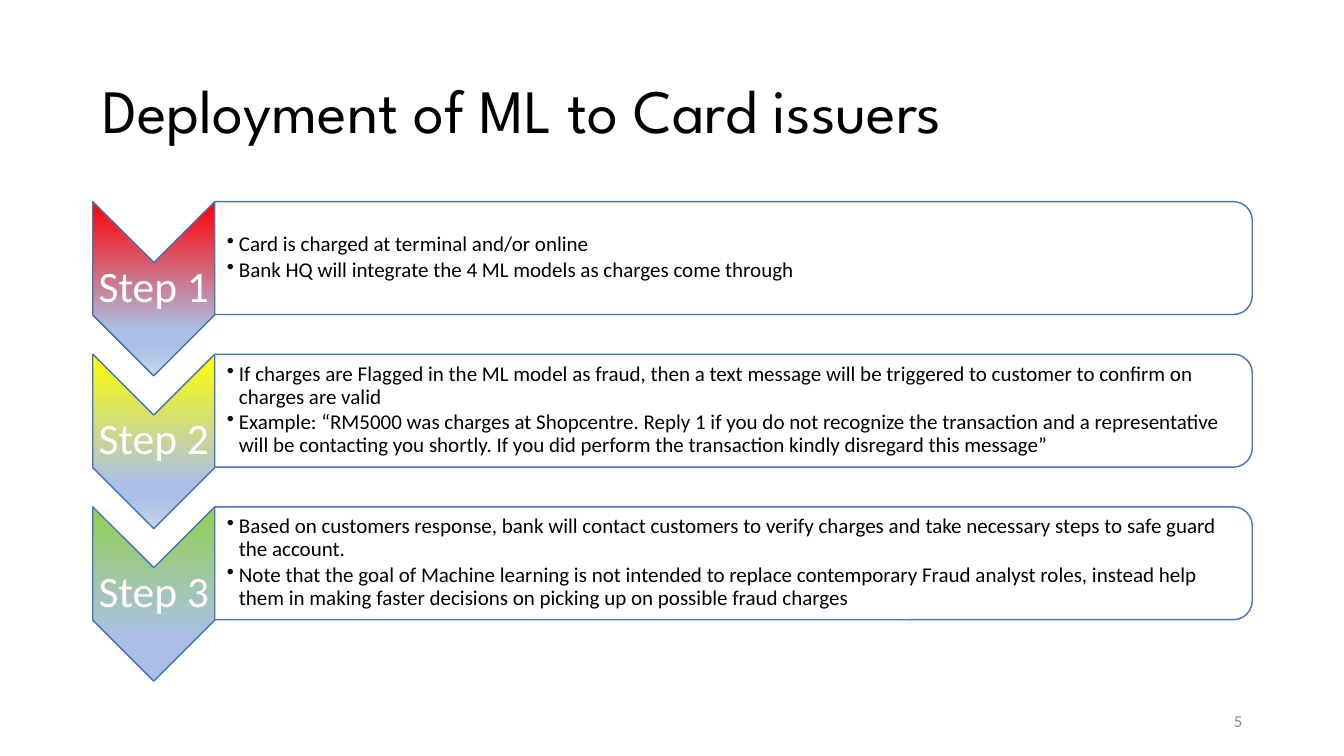
"""Builds the slide on deploying ML to card issuers: three chevron steps with bullets."""
from dataclasses import dataclass

from lxml import etree
from pptx import Presentation
from pptx import util as u
from pptx.dml.color import RGBColor
from pptx.enum import shapes, text
from pptx.oxml import parse_xml
from pptx.oxml.ns import nsdecls, qn


@dataclass(frozen=True)
class Theme:
    title_font: str = "League Spartan"
    body_font: str = "Calibri"
    black: str = "000000"
    white: str = "FFFFFF"
    grey: str = "8C8C8C"
    line: str = "4472C4"
    mid: str = "ABC0E4"
    pale: str = "C7D5ED"
    title_size: int = 44
    step_size: int = 31
    body_size: int = 15
    number_size: int = 12


THEME = Theme()


def add_rotated(kind, left, top, width, height):
    """Add a shape turned a quarter clockwise that fills the given box."""
    x, y = left + (width - height) / 2, top + (height - width) / 2
    sp = s.shapes.add_shape(kind, u.Inches(x), u.Inches(y), u.Inches(height), u.Inches(width))
    sp.rotation = 90
    sp.shadow.inherit = False
    sp.line.color.rgb = RGBColor.from_string(THEME.line)
    sp.line.width = u.Pt(1)
    return sp


def write(sp, lines, font, size, color, align, insets=(0.1, 0.05, 0.1, 0.05), spacing=0.9):
    """Fill a text frame with one paragraph per line and format it."""
    tf = sp.text_frame
    tf.text = "\n".join(lines)
    tf.word_wrap = True
    tf.auto_size = text.MSO_AUTO_SIZE.NONE
    tf.vertical_anchor = text.MSO_ANCHOR.MIDDLE
    tf.margin_left, tf.margin_top, tf.margin_right, tf.margin_bottom = map(u.Inches, insets)
    for p in tf.paragraphs:
        p.alignment = align
        p.line_spacing = spacing
        for r in p.runs:
            r.font.name = font
            r.font.size = u.Pt(size)
            r.font.color.rgb = RGBColor.from_string(color)
    return tf


prs = Presentation()
prs.slide_width, prs.slide_height = u.Inches(13.33), u.Inches(7.5)
s = prs.slides.add_slide(prs.slide_layouts[5])

title = s.shapes.title
title.left, title.top, title.width, title.height = map(u.Inches, (0.92, 0.4, 11.5, 1.45))
write(title, ["Deployment of ML to Card issuers"], THEME.title_font, THEME.title_size,
      THEME.black, text.PP_ALIGN.LEFT)

STEPS = [
    ("FF0000", 83, [
        "Card is charged at terminal and/or online",
        "Bank HQ will integrate the 4 ML models as charges come through"]),
    ("FFFF00", 83, [
        "If charges are Flagged in the ML model as fraud, then a text message will be "
        "triggered to customer to confirm on charges are valid",
        "Example: “RM5000 was charges at Shopcentre. Reply 1 if you do not recognize the "
        "transaction and a representative will be contacting you shortly. If you did perform "
        "the transaction kindly disregard this message”"]),
    ("92D050", 100, [
        "Based on customers response, bank will contact customers to verify charges and take "
        "necessary steps to safe guard the account.",
        "Note that the goal of Machine learning is not intended to replace contemporary Fraud "
        "analyst roles, instead help them in making faster decisions on picking up on possible "
        "fraud charges"]),
]
LEFT, TOP, PITCH = 0.92, 2.0, 1.514
STEP_W, STEP_H = 1.21, 1.73
PANEL_W, PANEL_H = 10.29, 1.12

for i, (color, mid_end, bullets) in enumerate(STEPS):
    top = TOP + i * PITCH
    panel_left = LEFT + STEP_W

    chevron = add_rotated(shapes.MSO_SHAPE.CHEVRON, LEFT, top, STEP_W, STEP_H)
    chevron.fill.gradient()
    chevron.fill.gradient_angle = 0
    gs_list = chevron.element.spPr.find(qn("a:gradFill")).find(qn("a:gsLst"))
    for gs in list(gs_list):
        gs_list.remove(gs)
    for pos, stop in ((0, color), (74, THEME.mid), (mid_end, THEME.mid), (100, THEME.pale)):
        gs_list.append(parse_xml(
            f'<a:gs {nsdecls("a")} pos="{pos * 1000}"><a:srgbClr val="{stop}"/></a:gs>'))

    label = s.shapes.add_textbox(u.Inches(LEFT), u.Inches(top + 0.6),
                                 u.Inches(STEP_W), u.Inches(0.52))
    write(label, [f"Step {i + 1}"], THEME.body_font, THEME.step_size, THEME.white,
          text.PP_ALIGN.CENTER, (0.02,) * 4)

    panel = add_rotated(shapes.MSO_SHAPE.ROUND_2_SAME_RECTANGLE, panel_left, top, PANEL_W, PANEL_H)
    panel.fill.solid()
    panel.fill.fore_color.rgb = RGBColor.from_string(THEME.white)

    box = s.shapes.add_textbox(u.Inches(panel_left), u.Inches(top + 0.05),
                               u.Inches(10.24), u.Inches(1.01))
    tf = write(box, bullets, THEME.body_font, THEME.body_size, THEME.black,
               text.PP_ALIGN.LEFT, (0.12, 0.01, 0.01, 0.01))
    for p in tf.paragraphs:
        p.space_after = u.Pt(0.15 * THEME.body_size)
        pPr = p._p.get_or_add_pPr()
        pPr.set("marL", str(u.Inches(0.12)))
        pPr.set("indent", str(-u.Inches(0.12)))
        etree.SubElement(pPr, qn("a:buChar")).set("char", "•")

number = s.shapes.add_textbox(u.Inches(9.42), u.Inches(6.95), u.Inches(3), u.Inches(0.4))
write(number, ["5"], THEME.body_font, THEME.number_size, THEME.grey,
      text.PP_ALIGN.RIGHT, spacing=1.0)

prs.save("out.pptx")
